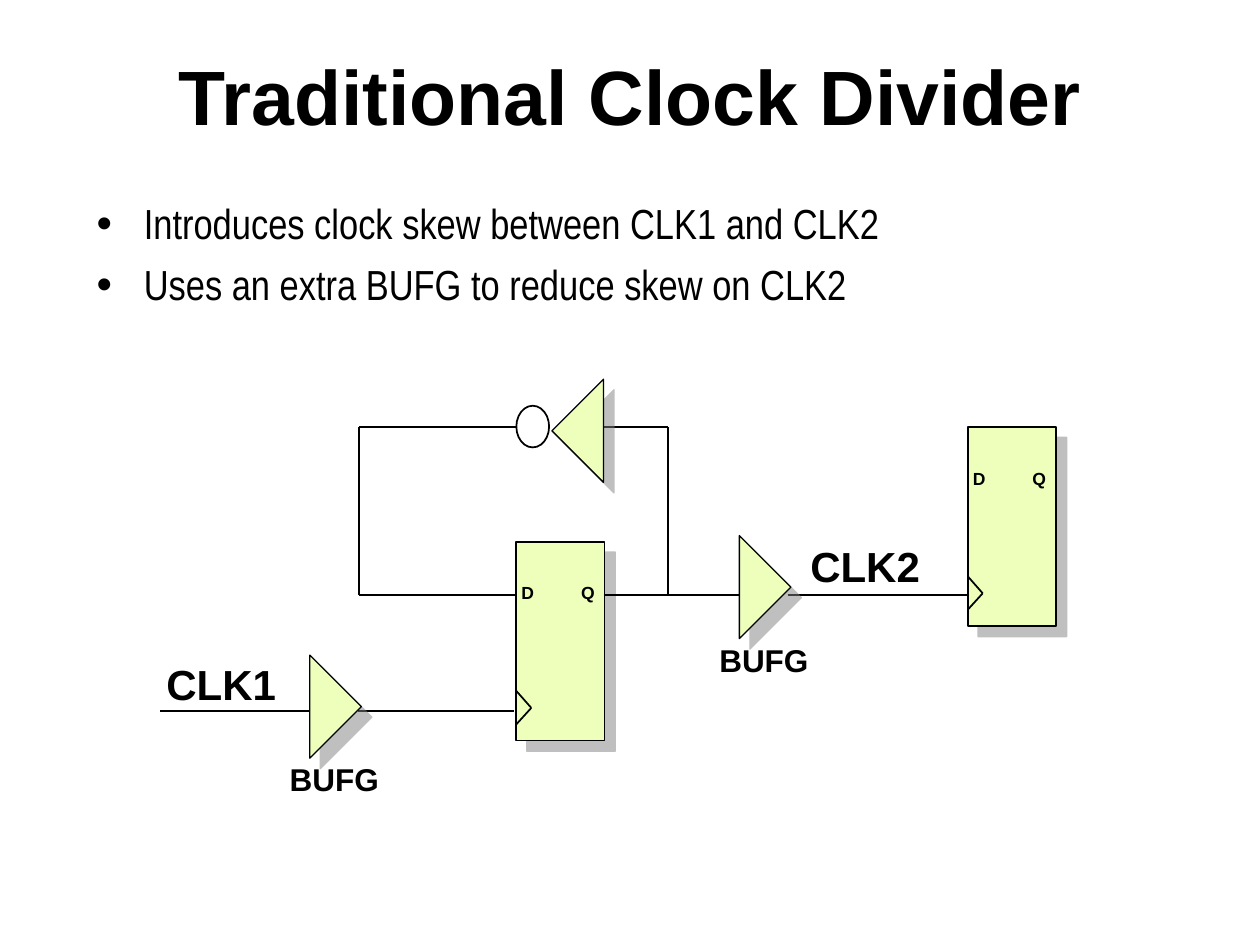
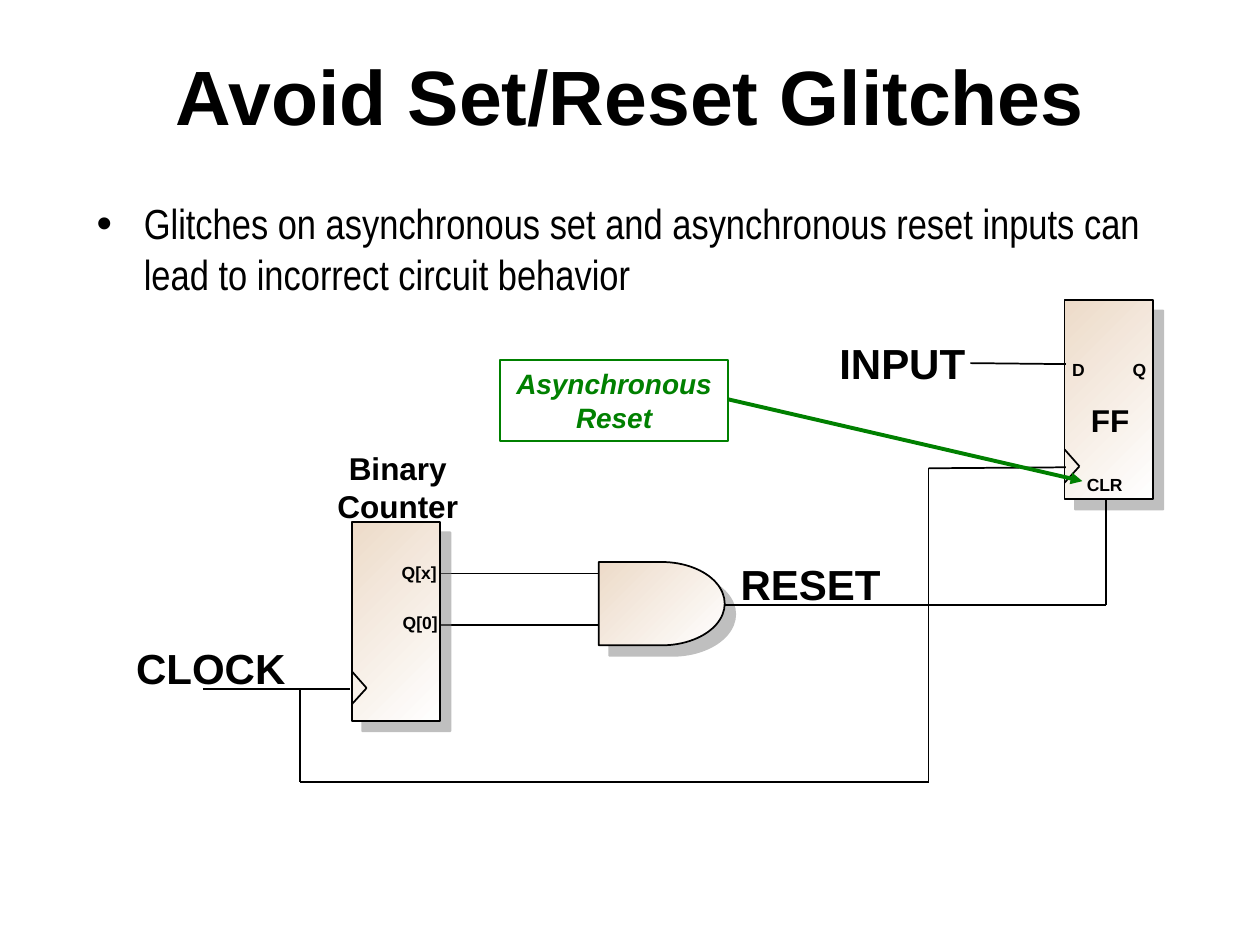
from dataclasses import dataclass
from itertools import pairwise

from lxml.etree import SubElement
from pptx import Presentation
from pptx.dml.color import RGBColor
from pptx.enum.shapes import MSO_CONNECTOR, MSO_SHAPE as Preset
from pptx.enum.text import MSO_ANCHOR as Anchor, PP_ALIGN as Align
from pptx.oxml.ns import qn
from pptx.util import Cm, Pt

BLACK, WHITE, GREEN = "000000", "FFFFFF", "008000"
LIME, TAN, SHADOW = "EDFFBB", "EDDBC9", "808080"
TITLE_FONT, BODY_FONT = "Arial", "Arial Narrow"
LABEL_HEIGHT = {10: 0.69, 18: 1.02, 24: 1.27}
REGISTER_SIZE = (1.78, 4.01)
BUFFER_SIZE = 1.47


@dataclass
class Box:
    """An area in centimetres."""
    left: float
    top: float
    width: float
    height: float

    def point(self, x, y):
        return self.left + x, self.top + y

    def area(self, x, y, width, height):
        return Box(*self.point(x, y), width, height)

    def lengths(self):
        return [Cm(n) for n in (self.left, self.top, self.width, self.height)]


TITLE_BOX = Box(1.7, 0.53, 22.02, 2.74)
BODY_BOX = Box(1.7, 3.86, 22.02, 2.64)


def color(hex_text):
    return RGBColor.from_string(hex_text)


# Text
def add_bullet(para):
    props = para._p.get_or_add_pPr()
    props.set("marL", str(Cm(0.95)))
    props.set("indent", str(Cm(-0.95)))
    SubElement(SubElement(props, qn("a:buClr")), qn("a:srgbClr"), val=BLACK)
    SubElement(props, qn("a:buSzPct"), val="105000")
    SubElement(props, qn("a:buFont"), typeface=TITLE_FONT)
    SubElement(props, qn("a:buChar"), char="•")


def write(shape, lines, size=10, font=TITLE_FONT, ink=BLACK, bold=True, italic=False,
          align=Align.CENTER, anchor=Anchor.MIDDLE, wrap=False, bullet=False, side=0.25):
    frame = shape.text_frame
    frame.word_wrap = wrap
    frame.vertical_anchor = anchor
    frame.margin_left = frame.margin_right = Cm(side)
    for index, line in enumerate(lines):
        para = frame.add_paragraph() if index else frame.paragraphs[0]
        para.alignment = align
        if bullet:
            add_bullet(para)
            if index:
                para.space_before = Pt(6)
        span = para.add_run()
        span.text = line
        span.font.name, span.font.size = font, Pt(size)
        span.font.bold, span.font.italic = bold, italic
        span.font.color.rgb = color(ink)


def label(page, center, width, *lines, size=24):
    """Text centred on a point, free of side margins so it stays on its lines."""
    x, y = center
    height = LABEL_HEIGHT[size] * len(lines)
    box = Box(x - width / 2, y - height / 2, width, height)
    write(page.shapes.add_textbox(*box.lengths()), lines, size=size, side=0)


# Shapes and wires
def drop_shadow(shape):
    effects = shape._element.spPr.find(qn("a:effectLst"))
    shadow = SubElement(effects, qn("a:outerShdw"), dist=str(Pt(8.5)),
                        dir="2700000", algn="ctr", rotWithShape="0")
    tint = SubElement(shadow, qn("a:srgbClr"), val=SHADOW)
    SubElement(tint, qn("a:alpha"), val="50000")


def draw(page, preset, box, fill=None, edge=BLACK, weight=1, shadow=False):
    """Draw a preset; fill is one colour, a pair for a gradient, or None."""
    shape = page.shapes.add_shape(preset, *box.lengths())
    shape.shadow.inherit = False
    if fill is None:
        shape.fill.background()
    elif isinstance(fill, str):
        shape.fill.solid()
        shape.fill.fore_color.rgb = color(fill)
    else:
        shape.fill.gradient()
        shape.fill.gradient_angle = 135
        for stop, tone in zip(shape.fill.gradient_stops, fill):
            stop.color.rgb = color(tone)
    shape.line.color.rgb = color(edge)
    shape.line.width = Pt(weight)
    if shadow:
        drop_shadow(shape)
    return shape


def wire(page, box, *points, ink=BLACK, weight=1, arrow=False):
    """Join points, given relative to the box, with straight lines."""
    for start, end in pairwise(points):
        ends = [Cm(n) for n in box.point(*start) + box.point(*end)]
        line = page.shapes.add_connector(MSO_CONNECTOR.STRAIGHT, *ends)
        line.line.color.rgb = color(ink)
        line.line.width = Pt(weight)
        if arrow:
            SubElement(line.line._get_or_add_ln(), qn("a:tailEnd"), type="triangle")
        SubElement(line._element.spPr, qn("a:effectLst"))


# Circuit parts
def register(page, box, fill, pins):
    """A clocked block; pins are (text, x, y, width) relative to the box."""
    draw(page, Preset.RECTANGLE, box, fill, shadow=True)
    wire(page, box, (0, 3.01), (0.3, 3.35), (0, 3.68))
    for text, x, y, width in pins:
        label(page, box.point(x, y), width, text, size=10)


def triangle(page, box, angle):
    shape = draw(page, Preset.RIGHT_TRIANGLE, box, LIME, weight=0.75, shadow=True)
    shape.rotation = angle


def clock_buffer(page, box):
    label(page, box.point(1.23, 2.2), 2.31, "BUFG", size=18)
    triangle(page, box, 225)


# Slide regions
def header(page, title, bullets):
    write(page.shapes.add_textbox(*TITLE_BOX.lengths()), [title], size=44, wrap=True)
    write(page.shapes.add_textbox(*BODY_BOX.lengths()), bullets, size=24,
          font=BODY_FONT, bold=False, align=Align.LEFT, anchor=Anchor.TOP,
          wrap=True, bullet=True)


def divider_circuit(page, box):
    data_row, feedback_row, clock_row = 4.49, 1.11, 6.83
    pins = [("D", 0.23, 1.03, 0.76), ("Q", 1.44, 1.03, 0.79)]
    register(page, box.area(7.41, 3.42, *REGISTER_SIZE), LIME, pins)

    # Feedback loop through the inverter
    wire(page, box, (7.41, data_row), (4.24, data_row),
         (4.24, feedback_row), (7.41, feedback_row))
    wire(page, box, (9.17, feedback_row), (10.46, feedback_row), (10.46, data_row))
    draw(page, Preset.OVAL, box.area(7.41, 0.68, 0.66, 0.84), WHITE)
    triangle(page, box.area(8.43, 0.45, BUFFER_SIZE, BUFFER_SIZE), 45)

    # Clock and data wires
    for row, start, end in [(clock_row, 0.23, 3.38), (clock_row, 4.21, 7.36),
                            (data_row, 9.17, 11.94), (data_row, 12.88, 16.69)]:
        wire(page, box, (start, row), (end, row))
    label(page, box.point(1.46, 6.29), 2.72, "CLK1")
    label(page, box.point(14.44, 3.9), 2.72, "CLK2")

    register(page, box.area(16.51, 1.11, *REGISTER_SIZE), LIME, pins)
    for x, y in [(2.51, 6.01), (11.17, 3.6)]:
        clock_buffer(page, box.area(x, y, BUFFER_SIZE, BUFFER_SIZE))


def reset_circuit(page, box):
    fade = (WHITE, TAN)
    clock_row, reset_row = 7.89, 6.19

    # Flip-flop
    flip_flop = box.area(19.46, 0.05, *REGISTER_SIZE)
    register(page, flip_flop, fade, [("D", 0.28, 1.4, 0.76), ("Q", 1.51, 1.4, 0.79),
                                     ("CLR", 0.81, 3.72, 1.24)])
    label(page, flip_flop.point(0.92, 2.41), 1.3, "FF", size=18)

    # Counter outputs, gate and counter
    for row in (5.56, 6.6):
        wire(page, box, (6.89, row), (10.07, row))
    draw(page, Preset.FLOWCHART_DELAY, box.area(10.07, 5.33, 2.54, 1.68), fade, shadow=True)
    counter = box.area(5.09, 4.52, *REGISTER_SIZE)
    register(page, counter, fade, [("Q[x]", 1.36, 1.02, 1.19), ("Q[0]", 1.38, 2.02, 1.19)])
    label(page, counter.point(0.93, -0.7), 2.95, "Binary", "Counter", size=18)

    # Clock, input and reset wires
    wire(page, box, (2.09, clock_row), (5.06, clock_row))
    wire(page, box, (4.05, clock_row), (4.05, 9.77), (16.72, 9.77),
         (16.72, 3.44), (19.49, 3.42))
    wire(page, box, (17.56, 1.32), (19.49, 1.34))
    wire(page, box, (12.61, reset_row), (20.3, reset_row), (20.3, 4.06))
    label(page, box.point(2.25, 7.46), 3.53, "CLOCK")
    label(page, box.point(16.19, 1.32), 3.05, "INPUT")
    label(page, box.point(14.34, 5.76), 3.33, "RESET")

    # Callout
    note = draw(page, Preset.RECTANGLE, box.area(8.08, 1.26, 4.6, 1.63), edge=GREEN)
    write(note, ["Asynchronous", "Reset"], size=16, ink=GREEN, italic=True)
    wire(page, box, (12.68, 2.05), (19.82, 3.7), ink=GREEN, weight=2.25, arrow=True)


def main():
    deck = Presentation()
    deck.slide_width, deck.slide_height = Cm(25.4), Cm(19.05)
    slides = [
        ("Traditional Clock Divider",
         ["Introduces clock skew between CLK1 and CLK2",
          "Uses an extra BUFG to reduce skew on CLK2"],
         divider_circuit, Box(3, 7.5, 18.5, 9)),
        ("Avoid Set/Reset Glitches",
         ["Glitches on asynchronous set and asynchronous reset inputs can "
          "lead to incorrect circuit behavior"],
         reset_circuit, Box(2, 6, 21.5, 10)),
    ]
    for title, bullets, circuit, box in slides:
        page = deck.slides.add_slide(deck.slide_layouts[6])
        header(page, title, bullets)
        circuit(page, box)
    deck.save("out.pptx")


if __name__ == "__main__":
    main()
